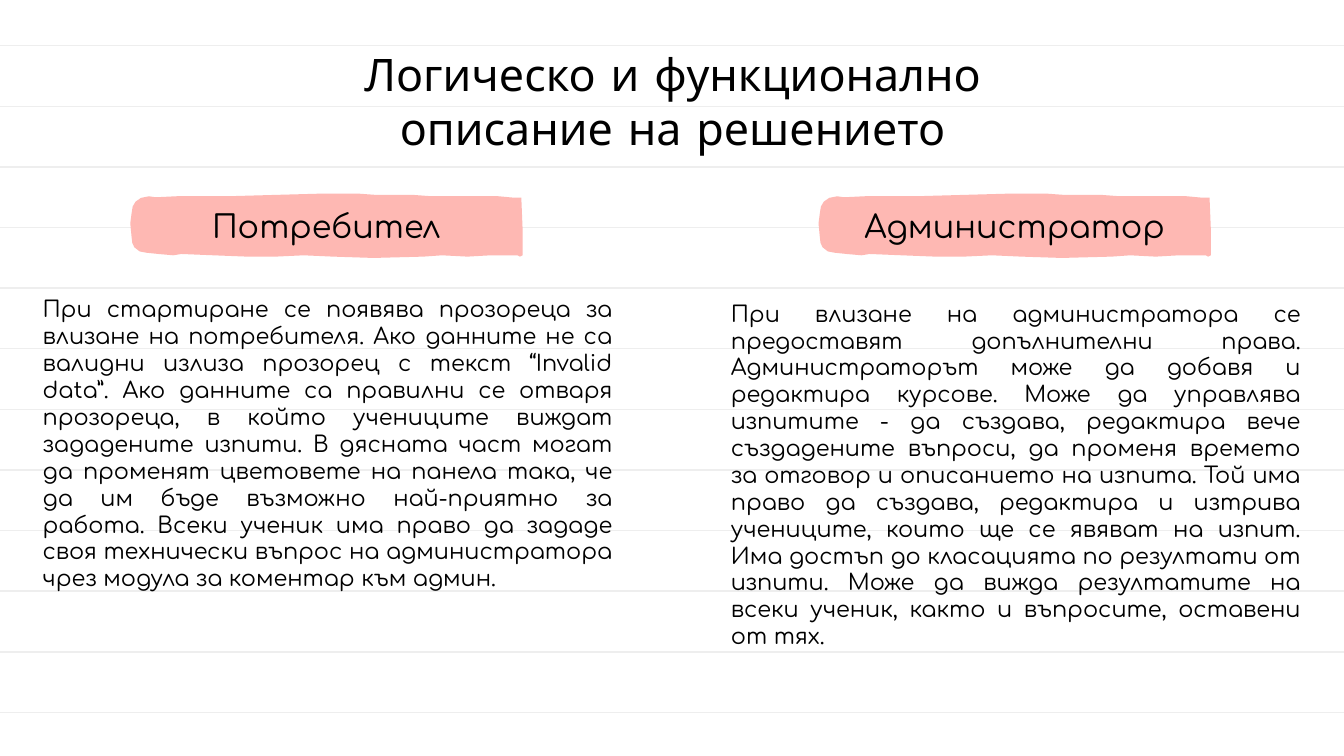
from dataclasses import dataclass

from pptx import Presentation
from pptx.dml.color import RGBColor
from pptx.enum.shapes import MSO_CONNECTOR
from pptx.enum.text import MSO_ANCHOR, MSO_AUTO_SIZE, PP_ALIGN
from pptx.oxml.ns import qn
from pptx.slide import Slide
from pptx.text.text import TextFrame
from pptx.util import Pt
from lxml import etree

STRAIGHT = MSO_CONNECTOR.STRAIGHT
TOP, MIDDLE, BOTTOM = MSO_ANCHOR.TOP, MSO_ANCHOR.MIDDLE, MSO_ANCHOR.BOTTOM
CENTER, JUSTIFY = PP_ALIGN.CENTER, PP_ALIGN.JUSTIFY
NO_AUTOFIT = MSO_AUTO_SIZE.NONE

BLACK, PINK, RULE_GRAY = "000000", "FEB8B3", "EEEEEE"
TITLE_FONT, BODY_FONT = "Comic Neue", "Comfortaa"
SLIDE_WIDTH, SLIDE_HEIGHT = 720, 405
RULE_COUNT, FIRST_RULE, RULE_GAP = 12, 24.5, 32.47
INSET = 7.2
BRUSH_TOP, BRUSH_INDENT = 103.7, 54
BODY_WIDTH, BODY_HEIGHT = 319.7, 192.2

BRUSH_OUTLINE = [
    (103.7, 0), (79.2, 0.7), (54, 1.4), (26, 1.4), (13.7, 2), (10, 1.5),
    (5.8, 2.3), (2.9, 4.3), (1.3, 7), (0.7, 10.8), (0, 16), (0.7, 23),
    (1.1, 26.5), (2.2, 28.8), (5, 31), (8.6, 31.7), (15.1, 32.4), (23, 33.1),
    (27.4, 32.4), (44.6, 33.1), (62.6, 33.8), (77.8, 33.8), (92.9, 33.1),
    (108.7, 33.8), (130.3, 34.5), (157, 33.8), (167, 33.1), (180.7, 33.8),
    (193, 33.1), (207.4, 33.1), (208.8, 33.8), (210.2, 33.1), (210.2, 19.4),
    (209.5, 2.2), (205.2, 2.2), (196.6, 1.4), (160.6, 1.4), (151, 0.7),
    (131, 0.7), (121.7, 0),
]


@dataclass
class Role:
    name: str
    description: str
    left: float
    top: float


ROLES = [
    Role(
        "Потребител",
        "При стартиране се появява прозореца за влизане на потребителя. "
        "Ако данните не са валидни излиза прозорец с текст “Invalid data”. "
        "Ако данните са правилни се отваря прозореца, в който учениците виждат "
        "зададените изпити. В дясната част могат да променят цветовете на панела "
        "така, че да им бъде възможно най-приятно за работа. Всеки ученик има "
        "право да зададе своя технически въпрос на администратора чрез модула "
        "за коментар към админ.",
        15.8, 151.2,
    ),
    Role(
        "Администратор",
        "При влизане на администратора се предоставят допълнителни права. "
        "Администраторът може да добавя и редактира курсове. Може да управлява "
        "изпитите - да създава, редактира вече създадените въпроси, да променя "
        "времето за отговор и описанието на изпита. Той има право да създава, "
        "редактира и изтрива учениците, които ще се явяват на изпит. Има достъп "
        "до класацията по резултати от изпити. Може да вижда резултатите на "
        "всеки ученик, както и въпросите, оставени от тях.",
        384.5, 153.4,
    ),
]


def color(value: str) -> RGBColor:
    return RGBColor.from_string(value)


def write(frame: TextFrame, text: str, font: str, size: float,
          alignment: PP_ALIGN, anchor: MSO_ANCHOR) -> None:
    frame.text = text
    frame.word_wrap = True
    frame.auto_size = NO_AUTOFIT
    frame.vertical_anchor = anchor
    frame.margin_left = frame.margin_right = Pt(INSET)
    frame.margin_top = frame.margin_bottom = Pt(INSET)
    paragraph = frame.paragraphs[0]
    paragraph.alignment = alignment
    for run in paragraph.runs:
        run.font.name = font
        run.font.size = Pt(size)
        run.font.color.rgb = color(BLACK)


def draw_rule(slide: Slide, y: float) -> None:
    rule = slide.shapes.add_connector(STRAIGHT, 0, Pt(y), Pt(SLIDE_WIDTH), Pt(y))
    rule.line.color.rgb = color(RULE_GRAY)
    rule.line.width = Pt(0.75)
    etree.SubElement(rule.element.spPr, qn("a:effectLst"))


def draw_title(slide: Slide, text: str) -> None:
    title = slide.shapes.title
    title.left, title.top = Pt(158.4), Pt(32.4)
    title.width, title.height = Pt(403.9), Pt(57.6)
    write(title.text_frame, text, TITLE_FONT, 24, CENTER, BOTTOM)
    slide.shapes.element.append(title.element)


def draw_role(slide: Slide, role: Role) -> None:
    description = slide.shapes.add_textbox(
        Pt(role.left), Pt(role.top), Pt(BODY_WIDTH), Pt(BODY_HEIGHT))
    write(description.text_frame, role.description, BODY_FONT, 12, JUSTIFY, TOP)

    outline = [(Pt(role.left + BRUSH_INDENT + x), Pt(BRUSH_TOP + y))
               for x, y in BRUSH_OUTLINE]
    builder = slide.shapes.build_freeform(*outline[0])
    builder.add_line_segments(outline[1:], close=True)
    brush = builder.convert_to_shape()
    brush.shadow.inherit = False
    brush.fill.solid()
    brush.fill.fore_color.rgb = color(PINK)
    brush.line.fill.background()
    write(brush.text_frame, role.name, BODY_FONT, 17, CENTER, MIDDLE)


def main() -> None:
    presentation = Presentation()
    presentation.slide_width = Pt(SLIDE_WIDTH)
    presentation.slide_height = Pt(SLIDE_HEIGHT)
    slide = presentation.slides.add_slide(presentation.slide_layouts.get_by_name("Title Only"))
    for index in range(RULE_COUNT):
        draw_rule(slide, FIRST_RULE + index * RULE_GAP)
    draw_title(slide, "Логическо и функционално описание на решението")
    for role in ROLES:
        draw_role(slide, role)
    presentation.save("out.pptx")


if __name__ == "__main__":
    main()
